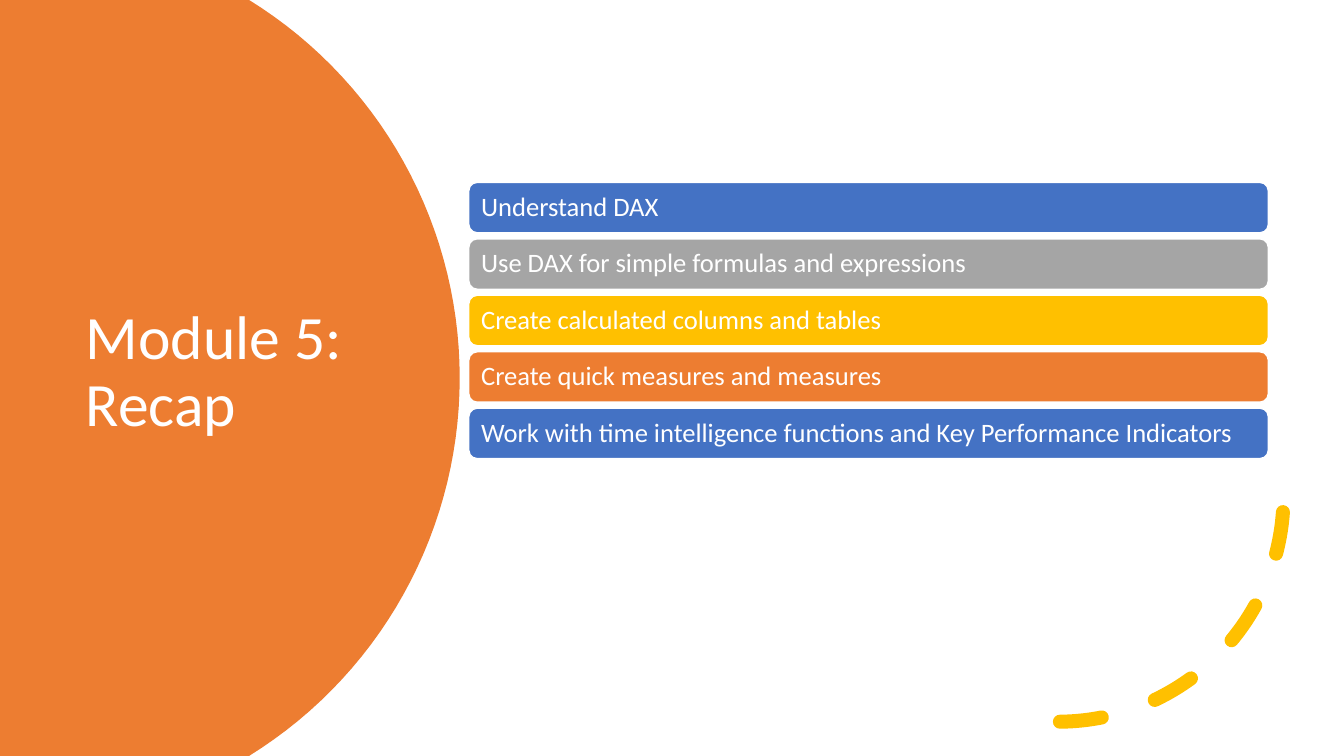
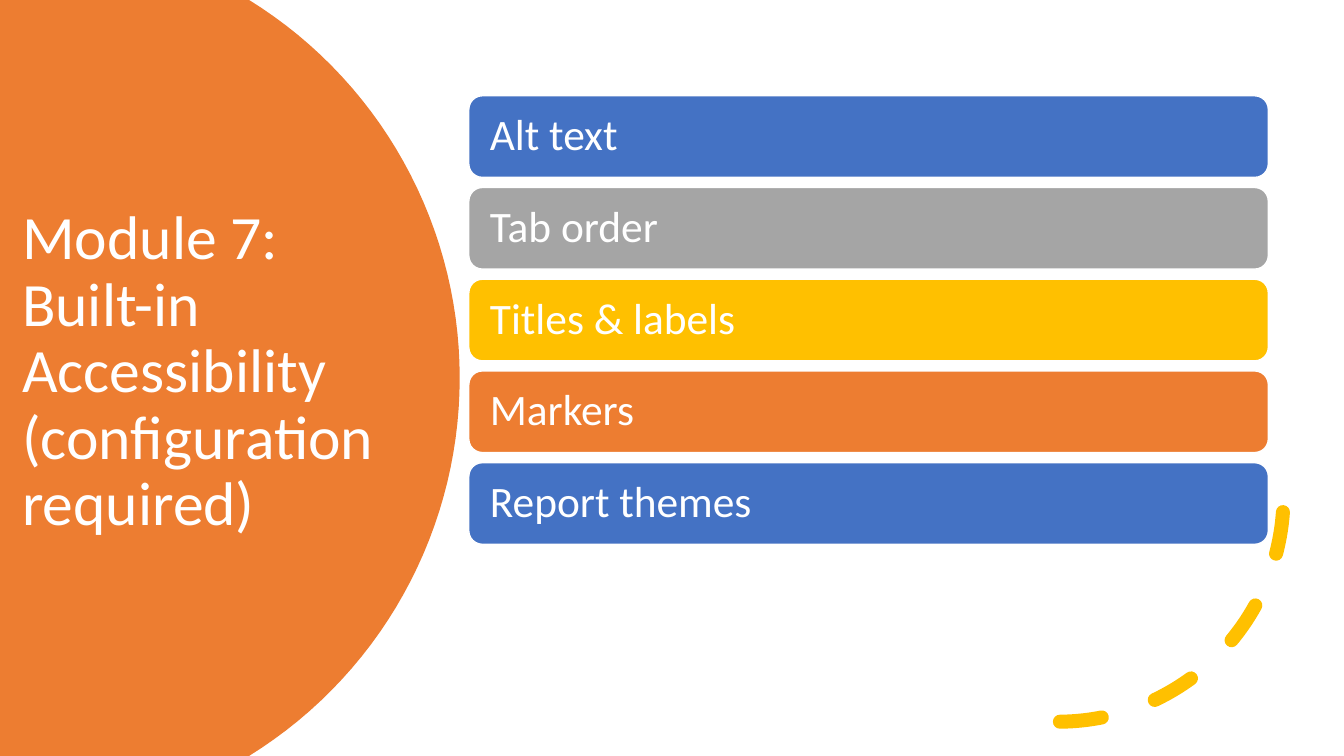
from dataclasses import dataclass
from math import asin, cos, sin

from pptx import Presentation
from pptx.dml.color import RGBColor
from pptx.enum.dml import MSO_LINE
from pptx.enum.shapes import MSO_SHAPE
from pptx.enum.text import MSO_ANCHOR, MSO_AUTO_SIZE, PP_ALIGN
from pptx.oxml.ns import qn
from pptx.slide import Slide
from pptx.text.text import TextFrame
from pptx.util import Emu, Pt

PX = 9144
WIDE, HIGH = 1333, 750
FONT = "Calibri"
HUES = {
    "white": "FFFFFF",
    "blue": "4472C4",
    "gray": "A5A5A5",
    "gold": "FFC000",
    "orange": "ED7D31",
}
CYCLE = ("blue", "gray", "gold", "orange")


@dataclass(frozen=True)
class Page:
    title: str
    left: int
    top: int
    tall: int
    pitch: int
    pad: int
    size: int
    items: tuple[str, ...]


PAGES = (
    Page("Module 5: Recap", 75, 181, 50, 56, 10, 19, (
        "Understand DAX",
        "Use DAX for simple formulas and expressions",
        "Create calculated columns and tables",
        "Create quick measures and measures",
        "Work with time intelligence functions and Key Performance Indicators",
    )),
    Page("Module 7: Built-in Accessibility (configuration required)",
         12, 95, 81, 91, 17, 31, (
             "Alt text",
             "Tab order",
             "Titles & labels",
             "Markers",
             "Report themes",
         )),
)


def px(num: float) -> Emu:
    return Emu(round(num * PX))


def hue(name: str) -> RGBColor:
    return RGBColor.from_string(HUES[name])


def write(frame: TextFrame, text: str, size: int) -> None:
    frame.word_wrap = True
    frame.auto_size = MSO_AUTO_SIZE.NONE
    frame.vertical_anchor = MSO_ANCHOR.MIDDLE
    para = frame.paragraphs[0]
    para.alignment = PP_ALIGN.LEFT
    para.line_spacing = 0.9
    run = para.add_run()
    run.text = text
    run.font.name = FONT
    run.font.size = Pt(size)
    run.font.color.rgb = hue("white")


def add_disc(slide: Slide) -> None:
    mid, rad, steps = 15, 441, 60
    half = HIGH / 2
    edge = asin(half / rad)
    turns = [edge * (2 * i / steps - 1) for i in range(steps + 1)]
    rim = [(px(mid + rad * cos(t)), px(half + rad * sin(t))) for t in turns]
    pen = slide.shapes.build_freeform(0, 0)
    pen.add_line_segments(rim + [(0, px(HIGH))], close=True)
    disc = pen.convert_to_shape()
    disc.shadow.inherit = False
    disc.fill.solid()
    disc.fill.fore_color.rgb = hue("orange")
    disc.line.fill.background()
    slide.shapes.element.insert(2, disc.element)


def add_title(slide: Slide, page: Page) -> None:
    title = slide.shapes.title
    title.left, title.top = px(page.left), px(126)
    title.width, title.height = px(425 - page.left), px(488)
    write(title.text_frame, page.title, 44)


def add_arc(slide: Slide) -> None:
    arc = slide.shapes.add_shape(MSO_SHAPE.ARC, px(826), px(269), px(447), px(447))
    arc.shadow.inherit = False
    arc.fill.background()
    for i, angle in enumerate((4, 90)):
        arc.adjustments[i] = angle * 0.6
    arc.line.color.rgb = hue("gold")
    arc.line.width = Pt(10)
    arc.line.dash_style = MSO_LINE.DASH
    arc.element.spPr.find(qn("a:ln")).set("cap", "rnd")


def add_bars(slide: Slide, page: Page) -> None:
    for i, text in enumerate(page.items):
        bar = slide.shapes.add_shape(
            MSO_SHAPE.ROUNDED_RECTANGLE,
            px(465), px(page.top + i * page.pitch), px(793), px(page.tall),
        )
        bar.shadow.inherit = False
        bar.fill.solid()
        bar.fill.fore_color.rgb = hue(CYCLE[i % len(CYCLE)])
        bar.line.color.rgb = hue("white")
        bar.line.width = Pt(1)
        frame = bar.text_frame
        frame.margin_left = frame.margin_right = px(page.pad)
        frame.margin_top = frame.margin_bottom = 0
        write(frame, text, page.size)


def main() -> None:
    deck = Presentation()
    deck.slide_width, deck.slide_height = px(WIDE), px(HIGH)
    for page in PAGES:
        slide = deck.slides.add_slide(deck.slide_layouts[5])
        add_disc(slide)
        add_title(slide, page)
        add_arc(slide)
        add_bars(slide, page)
    deck.save("out.pptx")


if __name__ == "__main__":
    main()
